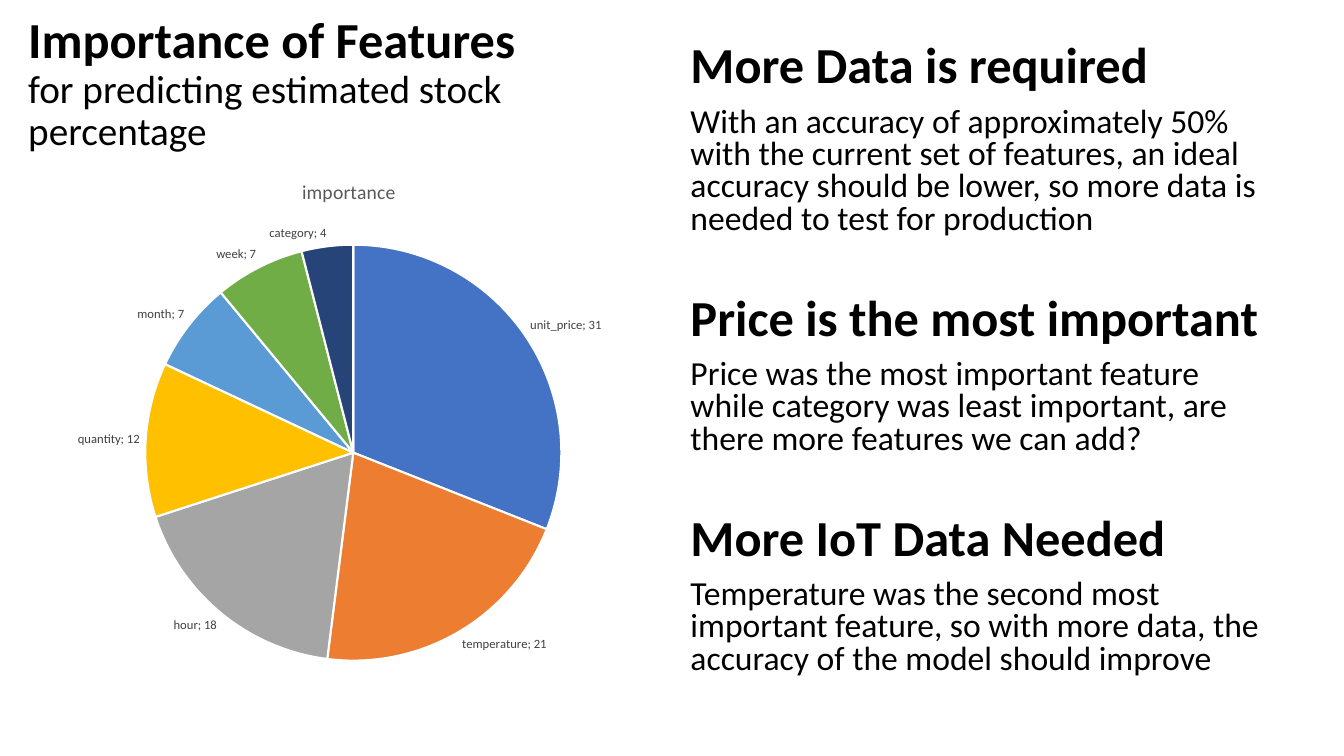
from lxml import etree
from pptx import Presentation
from pptx.chart.data import CategoryChartData
from pptx.dml.color import RGBColor
from pptx.enum import chart as charts, text
from pptx.util import Inches, Pt

FONT = "Calibri"
BLACK = RGBColor(0, 0, 0)
WHITE = RGBColor(255, 255, 255)
TITLE_GREY = RGBColor(0x59, 0x59, 0x59)
LABEL_GREY = RGBColor(0x40, 0x40, 0x40)

TITLE = [
    ("Importance of Features", 36, True),
    ("for predicting estimated stock percentage", 28, False),
]
FINDINGS = [
    ("More Data is required",
     "With an accuracy of approximately 50% with the current set of features, "
     "an ideal accuracy should be lower, so more data is needed to test for production"),
    ("Price is the most important",
     "Price was the most important feature while category was least important, "
     "are there more features we can add?"),
    ("More IoT Data Needed",
     "Temperature was the second most important feature, so with more data, "
     "the accuracy of the model should improve"),
]
FEATURES = [
    ("unit_price", 31, RGBColor(0x44, 0x72, 0xC4)),
    ("temperature", 21, RGBColor(0xED, 0x7D, 0x31)),
    ("hour", 18, RGBColor(0xA5, 0xA5, 0xA5)),
    ("quantity", 12, RGBColor(0xFF, 0xC0, 0x00)),
    ("month", 7, RGBColor(0x5B, 0x9B, 0xD5)),
    ("week", 7, RGBColor(0x70, 0xAD, 0x47)),
    ("category", 4, RGBColor(0x26, 0x44, 0x78)),
]
LINE_GAP = 10
SECTION_GAP = 43.4


def style_font(font, size, color, bold=False):
    font.name, font.size, font.bold = FONT, Pt(size), bold
    font.color.rgb = color


def write_lines(frame, lines, line_spacing):
    frame.word_wrap = True
    frame.auto_size = text.MSO_AUTO_SIZE.NONE
    frame.text = "\n".join(line[0] for line in lines)
    for para, (_, size, bold, gap) in zip(frame.paragraphs, lines):
        para.alignment = text.PP_ALIGN.LEFT
        para.line_spacing = line_spacing
        para.space_before = Pt(gap)
        for span in para.runs:
            style_font(span.font, size, BLACK, bold)


def add_title(page):
    title = page.shapes.title
    title.left, title.top = Inches(0.18), Inches(0.1)
    title.width, title.height = Inches(6.57), Inches(1.48)
    title.text_frame.vertical_anchor = text.MSO_ANCHOR.MIDDLE
    write_lines(title.text_frame, [line + (0,) for line in TITLE], 0.9)


def add_findings(page):
    box = page.shapes.add_textbox(Inches(6.75), Inches(0.4), Inches(5.89), Inches(6.71))
    lines = []
    for heading, detail in FINDINGS:
        lines.append((heading, 36, True, SECTION_GAP if lines else LINE_GAP))
        lines.append((detail, 24, False, LINE_GAP))
    write_lines(box.text_frame, lines, 0.8)


def add_importance_chart(page):
    names, values, colors = zip(*FEATURES)
    data = CategoryChartData()
    data.categories = names
    data.add_series("importance", values)
    chart = page.shapes.add_chart(
        charts.XL_CHART_TYPE.PIE, Inches(0.25), Inches(1.58), Inches(6.42), Inches(5.17), data
    ).chart
    style_font(chart.font, 10, BLACK)
    chart.has_legend = False
    chart.has_title = True
    heading = chart.chart_title.text_frame
    heading.text = "importance"
    style_font(heading.paragraphs[0].runs[0].font, 14, TITLE_GREY)

    plot = chart.plots[0]
    plot.vary_by_categories = True
    for index, color in enumerate(colors):
        slice_format = plot.series[0].points[index].format
        slice_format.fill.solid()
        slice_format.fill.fore_color.rgb = color
        slice_format.line.color.rgb = WHITE
        slice_format.line.width = Pt(1.5)

    labels = plot.series[0].data_labels
    labels.show_value = labels.show_category_name = True
    labels.position = charts.XL_LABEL_POSITION.OUTSIDE_END
    style_font(labels.font, 9, LABEL_GREY)
    bubble_flag = labels._element.xpath("c:showBubbleSize")[0]
    separator = etree.Element(etree.QName(etree.QName(bubble_flag).namespace, "separator"))
    separator.text = "; "
    bubble_flag.addnext(separator)


def main():
    """Build the feature importance slide."""
    deck = Presentation()
    deck.slide_width, deck.slide_height = Inches(13.33), Inches(7.5)
    page = deck.slides.add_slide(deck.slide_layouts[5])
    add_title(page)
    add_findings(page)
    add_importance_chart(page)
    deck.save("out.pptx")


if __name__ == "__main__":
    main()
